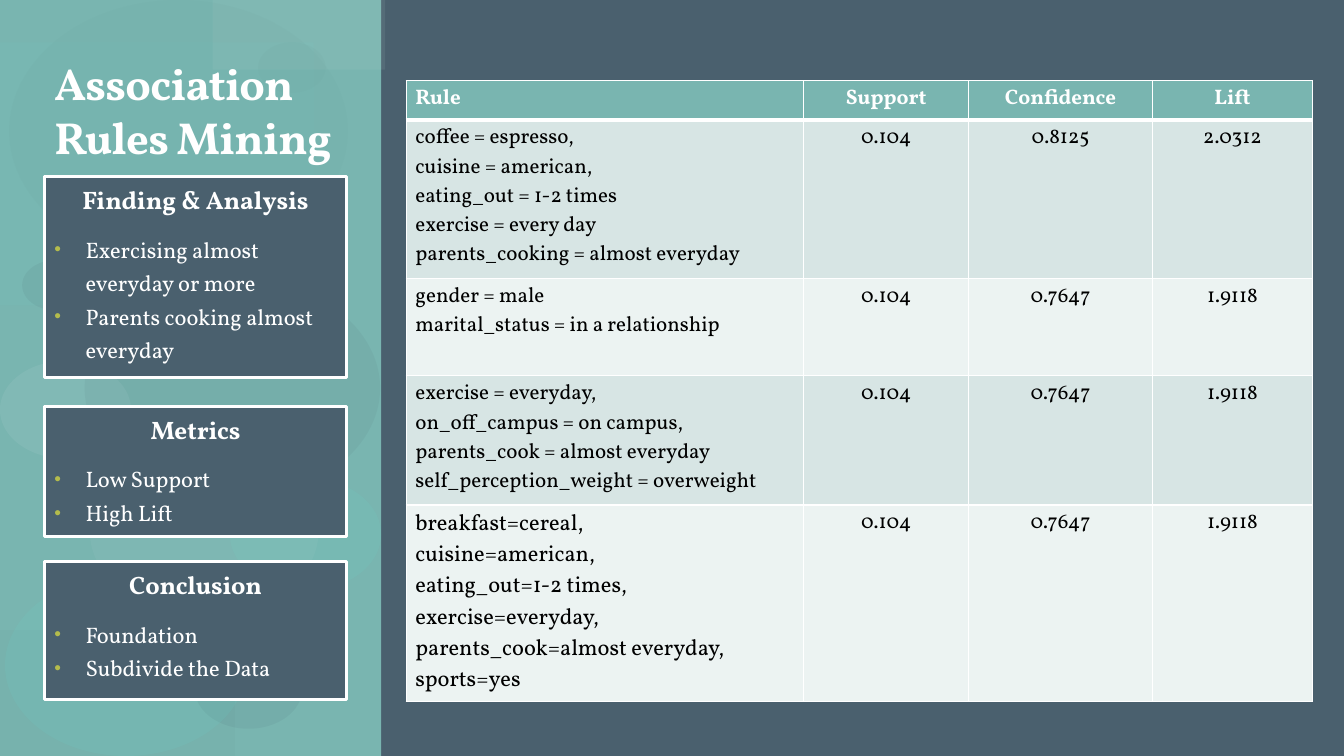
from dataclasses import dataclass

from lxml.etree import SubElement
from pptx import Presentation
from pptx.dml.color import RGBColor
from pptx.enum.shapes import MSO_SHAPE
from pptx.enum.text import MSO_ANCHOR, PP_ALIGN
from pptx.oxml.ns import qn
from pptx.slide import Slide
from pptx.table import _Cell
from pptx.text.text import _Paragraph
from pptx.util import Inches, Pt


@dataclass(frozen=True)
class Theme:
    """Colours, font and type sizes of the slide."""
    font: str = "Vollkorn"
    slate: str = "4A606E"
    teal: str = "79B5B0"
    white: str = "FFFFFF"
    black: str = "000000"
    bullet: str = "B4BC4C"
    band_dark: str = "D7E5E4"
    band_light: str = "ECF3F2"
    aqua: str = "65E8DC"
    mint: str = "77D6CE"
    mist: str = "BED7D4"
    fog: str = "D1E1E3"
    moss: str = "6BA09B"
    title_size: float = 32
    heading_size: float = 18
    body_size: float = 16
    table_size: float = 15


@dataclass(frozen=True)
class Decoration:
    """A translucent preset shape on the side panel."""
    kind: MSO_SHAPE
    left: float
    top: float
    width: float
    height: float
    color: str
    opacity: int


@dataclass(frozen=True)
class Card:
    """A framed box with a heading and bullets."""
    top: float
    height: float
    heading: str
    bullets: tuple[str, ...]


@dataclass(frozen=True)
class Rule:
    """A mined rule, its measures and its row height."""
    conditions: tuple[str, ...]
    measures: tuple[str, ...]
    height: float
    size: float


THEME = Theme()
OVAL, RECTANGLE = MSO_SHAPE.OVAL, MSO_SHAPE.RECTANGLE
CARD_LEFT, CARD_WIDTH = 0.44, 3
COLUMN_WIDTHS = (3.94, 1.64, 1.82, 1.59)
HEADERS = ("Rule", "Support", "Confidence", "Lift")
HEADER_HEIGHT = 0.39

DECORATIONS = (
    Decoration(RECTANGLE, 0, 0, 3.78, 7.5, THEME.teal, 100),
    Decoration(OVAL, 2.28, 4.74, 1.5, 1.12, THEME.aqua, 9),
    Decoration(RECTANGLE, 0, 0.42, 3.11, 2.61, THEME.mint, 7),
    Decoration(RECTANGLE, 2.11, 0, 1.71, 0.69, THEME.mist, 10),
    Decoration(OVAL, 0.09, 0, 3.36, 2.6, THEME.moss, 9),
    Decoration(OVAL, 0, 3.58, 1.3, 0.97, THEME.fog, 10),
    Decoration(OVAL, 0.89, 4.42, 2.27, 1.7, THEME.fog, 6),
    Decoration(OVAL, 0.22, 2.58, 0.67, 0.5, THEME.slate, 9),
    Decoration(OVAL, 2.56, 0.42, 0.67, 0.5, THEME.moss, 9),
    Decoration(OVAL, 0.84, 2.75, 2.93, 2.2, THEME.slate, 8),
    Decoration(RECTANGLE, 0, 6.25, 2.33, 1.25, THEME.moss, 10),
    Decoration(OVAL, 1.93, 6.43, 1.07, 0.8, THEME.slate, 9),
    Decoration(OVAL, 0.05, 5.7, 2.4, 1.8, THEME.aqua, 9),
)
CARDS = (
    Card(1.75, 2, "Finding & Analysis",
         ("Exercising almost everyday or more", "Parents cooking almost everyday")),
    Card(4.03, 1.29, "Metrics", ("Low Support", "High Lift")),
    Card(5.57, 1.37, "Conclusion", ("Foundation", "Subdivide the Data")),
)
RULES = (
    Rule(("coffee = espresso,\vcuisine = american,\veating_out = 1-2 times\vexercise = every day",
          "parents_cooking = almost everyday"),
         ("0.104", "0.8125", "2.0312"), 1.57, THEME.table_size),
    Rule(("gender = male", "marital_status = in a relationship"),
         ("0.104", "0.7647", "1.9118"), 0.97, THEME.table_size),
    Rule(("exercise = everyday,", "on_off_campus = on campus,", "parents_cook = almost everyday",
          "self_perception_weight = overweight"),
         ("0.104", "0.7647", "1.9118"), 1.28, THEME.table_size),
    Rule(("breakfast=cereal,", "cuisine=american,",
          "eating_out=1-2 times, exercise=everyday, parents_cook=almost everyday, sports=yes"),
         ("0.104", "0.7647", "1.9118"), 1.95, THEME.body_size),
)


def style_runs(paragraph: _Paragraph, size: float, color: str, bold: bool = False) -> None:
    """Format every run of a paragraph."""
    for run in paragraph.runs:
        run.font.name = THEME.font
        run.font.size = Pt(size)
        run.font.bold = bold
        run.font.color.rgb = RGBColor.from_string(color)


def draw_decoration(slide: Slide, item: Decoration) -> None:
    """Draw one borderless panel shape."""
    shape = slide.shapes.add_shape(item.kind, Inches(item.left), Inches(item.top),
                                   Inches(item.width), Inches(item.height))
    shape.shadow.inherit = False
    shape.line.fill.background()
    shape.fill.solid()
    shape.fill.fore_color.rgb = RGBColor.from_string(item.color)
    if item.opacity < 100:
        color = shape.fill._xPr.find(".//" + qn("a:srgbClr"))
        SubElement(color, qn("a:alpha"), val=str(item.opacity * 1000))


def add_bullet(paragraph: _Paragraph) -> None:
    """Give a paragraph a hanging coloured bullet."""
    properties = paragraph._p.get_or_add_pPr()
    properties.set("marL", str(Inches(0.31)))
    properties.set("indent", str(Inches(-0.31)))
    color = SubElement(properties, qn("a:buClr"))
    SubElement(color, qn("a:srgbClr"), val=THEME.bullet)
    SubElement(properties, qn("a:buSzPct"), val="85000")
    SubElement(properties, qn("a:buFont"), typeface="Arial")
    SubElement(properties, qn("a:buChar"), char="•")


def draw_card(slide: Slide, card: Card) -> None:
    """Draw a framed card with its heading and bullets."""
    shape = slide.shapes.add_shape(RECTANGLE, Inches(CARD_LEFT), Inches(card.top),
                                   Inches(CARD_WIDTH), Inches(card.height))
    shape.shadow.inherit = False
    shape.fill.solid()
    shape.fill.fore_color.rgb = RGBColor.from_string(THEME.slate)
    shape.line.color.rgb = RGBColor.from_string(THEME.white)
    shape.line.width = Pt(2.25)
    frame = shape.text_frame
    frame.vertical_anchor = MSO_ANCHOR.TOP
    frame.text = "\n".join((card.heading, *card.bullets))
    heading, *bullets = frame.paragraphs
    for paragraph in frame.paragraphs:
        paragraph.line_spacing = Pt(24)
    heading.alignment = PP_ALIGN.CENTER
    heading.space_before, heading.space_after = Pt(7), Pt(10)
    style_runs(heading, THEME.heading_size, THEME.white, True)
    for paragraph in bullets:
        paragraph.alignment = PP_ALIGN.LEFT
        add_bullet(paragraph)
        style_runs(paragraph, THEME.body_size, THEME.white)


def draw_title(slide: Slide) -> None:
    """Draw the slide title."""
    box = slide.shapes.add_textbox(Inches(CARD_LEFT), Inches(0.42), Inches(CARD_WIDTH), Inches(1.25))
    frame = box.text_frame
    frame.word_wrap = True
    frame.vertical_anchor = MSO_ANCHOR.BOTTOM
    frame.margin_top = Inches(0.1)
    frame.text = "Association Rules Mining"
    style_runs(frame.paragraphs[0], THEME.title_size, THEME.white, True)
    frame.paragraphs[0].runs[0].font._element.set("spc", "-50")


def fill_cell(cell: _Cell, text: str, fill: str, size: float, centered: bool, header: bool) -> None:
    """Write and format one table cell."""
    cell.margin_left = cell.margin_right = Inches(0.09)
    cell.margin_top = cell.margin_bottom = Inches(0.04)
    properties = cell._tc.get_or_add_tcPr()
    for side in "LRTB":
        width = 3 if header and side == "B" else 1
        line = SubElement(properties, qn(f"a:ln{side}"), w=str(Pt(width)))
        SubElement(SubElement(line, qn("a:solidFill")), qn("a:srgbClr"), val=THEME.white)
    cell.fill.solid()
    cell.fill.fore_color.rgb = RGBColor.from_string(fill)
    cell.text_frame.text = text
    for paragraph in cell.text_frame.paragraphs:
        paragraph.alignment = PP_ALIGN.CENTER if centered else PP_ALIGN.LEFT
        style_runs(paragraph, size, THEME.white if header else THEME.black, header)


def draw_table(slide: Slide) -> None:
    """Draw the table of rules and measures."""
    height = HEADER_HEIGHT + sum(rule.height for rule in RULES)
    table = slide.shapes.add_table(len(RULES) + 1, len(HEADERS), Inches(4.03), Inches(0.8),
                                   Inches(sum(COLUMN_WIDTHS)), Inches(height)).table
    table.horz_banding = False
    for column, width in zip(table.columns, COLUMN_WIDTHS):
        column.width = Inches(width)
    table.rows[0].height = Inches(HEADER_HEIGHT)
    for index, header in enumerate(HEADERS):
        fill_cell(table.cell(0, index), header, THEME.teal, THEME.table_size, index > 0, True)
    for row, rule in enumerate(RULES, 1):
        table.rows[row].height = Inches(rule.height)
        band = THEME.band_dark if row % 2 else THEME.band_light
        fill_cell(table.cell(row, 0), "\n".join(rule.conditions), band, rule.size, False, False)
        for index, measure in enumerate(rule.measures, 1):
            fill_cell(table.cell(row, index), measure, band, THEME.table_size, True, False)


def main() -> None:
    """Build and save the presentation."""
    presentation = Presentation()
    presentation.slide_width, presentation.slide_height = Inches(13.33), Inches(7.5)
    slide = presentation.slides.add_slide(presentation.slide_layouts[6])
    slide.background.fill.solid()
    slide.background.fill.fore_color.rgb = RGBColor.from_string(THEME.slate)
    for decoration in DECORATIONS:
        draw_decoration(slide, decoration)
    draw_title(slide)
    draw_table(slide)
    for card in CARDS:
        draw_card(slide, card)
    presentation.save("out.pptx")


main()
